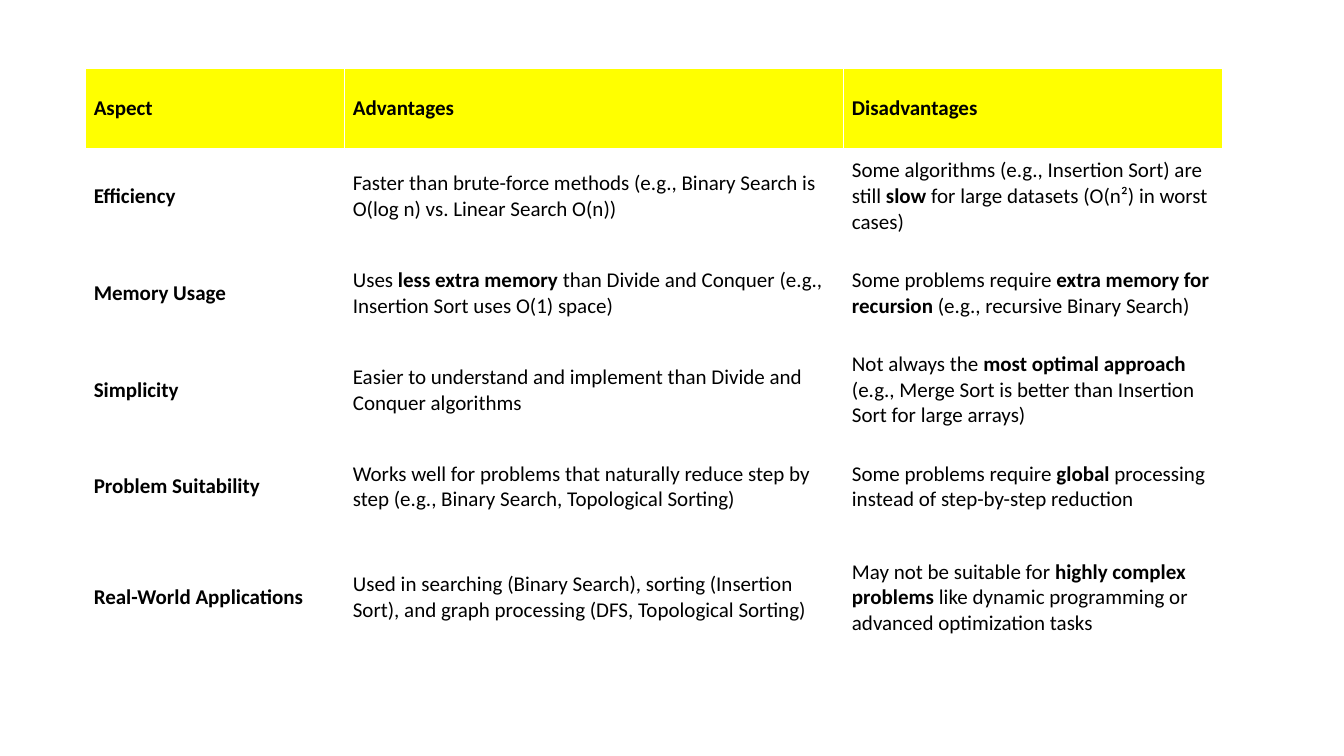
import pptx
import pptx.dml.color
import pptx.enum.text
import pptx.util

PX = 9144  # EMU per px, 100 px to the inch
COLORS = {"header": "FFFF00", "text": "000000"}
COLUMN_WIDTHS = [257, 495, 376]
ROW_HEIGHTS = [79, 96, 96, 96, 96, 124]

# Asterisk pairs enclose bold words
ROWS = [
    ("**Aspect**", "**Advantages**", "**Disadvantages**"),
    ("**Efficiency**",
     "Faster than brute-force methods (e.g., Binary Search is O(log n) vs. Linear Search O(n))",
     "Some algorithms (e.g., Insertion Sort) are still **slow** for large datasets "
     "(O(n²) in worst cases)"),
    ("**Memory Usage**",
     "Uses **less extra memory** than Divide and Conquer (e.g., Insertion Sort uses O(1) space)",
     "Some problems require **extra memory for recursion** (e.g., recursive Binary Search)"),
    ("**Simplicity**",
     "Easier to understand and implement than Divide and Conquer algorithms",
     "Not always the **most optimal approach** (e.g., Merge Sort is better than "
     "Insertion Sort for large arrays)"),
    ("**Problem Suitability**",
     "Works well for problems that naturally reduce step by step "
     "(e.g., Binary Search, Topological Sorting)",
     "Some problems require **global** processing instead of step-by-step reduction"),
    ("**Real-World Applications**",
     "Used in searching (Binary Search), sorting (Insertion Sort), and graph processing "
     "(DFS, Topological Sorting)",
     "May not be suitable for **highly complex problems** like dynamic programming "
     "or advanced optimization tasks"),
]


def px(length):
    return pptx.util.Emu(length * PX)


def write_text(para, text, size=15, font="Calibri", color="text"):
    for index, part in enumerate(text.split("**")):
        if part:
            span = para.add_run()
            span.text = part
            span.font.size = pptx.util.Pt(size)
            span.font.name = font
            span.font.bold = index % 2 == 1
            span.font.color.rgb = pptx.dml.color.RGBColor.from_string(COLORS[color])


def format_cell(cell, text, fill=None):
    cell.vertical_anchor = pptx.enum.text.MSO_ANCHOR.MIDDLE
    cell.margin_left = cell.margin_right = px(8)
    cell.margin_top = cell.margin_bottom = px(4)
    if fill:
        cell.fill.solid()
        cell.fill.fore_color.rgb = pptx.dml.color.RGBColor.from_string(COLORS[fill])
    else:
        cell.fill.background()
    write_text(cell.text_frame.paragraphs[0], text)


def add_comparison(page, left, top, width, height):
    frame = page.shapes.add_table(len(ROWS), len(COLUMN_WIDTHS),
                                  px(left), px(top), px(width), px(height))
    table = frame.table
    table.horz_banding = False
    # Column and row sizes share out the given box
    for column, share in zip(table.columns, COLUMN_WIDTHS):
        column.width = px(round(width * share / sum(COLUMN_WIDTHS)))
    for row, share in zip(table.rows, ROW_HEIGHTS):
        row.height = px(round(height * share / sum(ROW_HEIGHTS)))
    # Cell contents, with a filled header row
    for row_index, (row, texts) in enumerate(zip(table.rows, ROWS)):
        for cell, text in zip(row.cells, texts):
            format_cell(cell, text, fill="header" if row_index == 0 else None)


def main():
    deck = pptx.Presentation()
    deck.slide_width, deck.slide_height = px(1333), px(750)
    page = deck.slides.add_slide(deck.slide_layouts[6])
    add_comparison(page, left=85, top=68, width=1128, height=587)
    deck.save("out.pptx")


if __name__ == "__main__":
    main()
